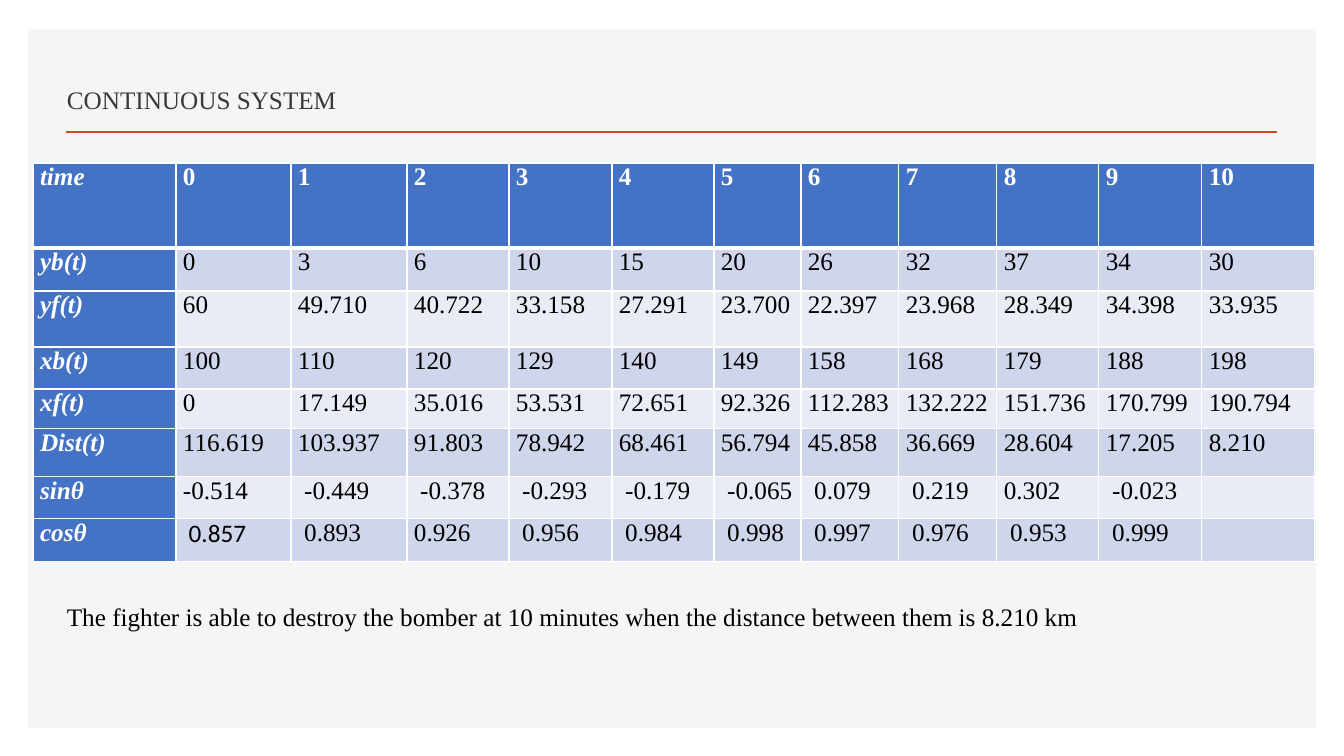
from lxml import etree
from pptx import Presentation
from pptx import util as u
from pptx.dml.color import RGBColor
from pptx.enum import shapes, text
from pptx.oxml import ns

# Content
HEADING = "CONTINUOUS SYSTEM"
CONCLUSION = ("The fighter is able to destroy the bomber at 10 minutes "
              "when the distance between them is 8.210 km")
PURSUIT = [
    ("time", "0", "1", "2", "3", "4", "5", "6", "7", "8", "9", "10"),
    ("yb(t)", "0", "3", "6", "10", "15", "20", "26", "32", "37", "34", "30"),
    ("yf(t)", "60", "49.710", "40.722", "33.158", "27.291", "23.700",
     "22.397", "23.968", "28.349", "34.398", "33.935"),
    ("xb(t)", "100", "110", "120", "129", "140", "149", "158", "168", "179", "188", "198"),
    ("xf(t)", "0", "17.149", "35.016", "53.531", "72.651", "92.326",
     "112.283", "132.222", "151.736", "170.799", "190.794"),
    ("Dist(t)", "116.619", "103.937", "91.803", "78.942", "68.461", "56.794",
     "45.858", "36.669", "28.604", "17.205", "8.210"),
    ("sinθ", "-0.514", " -0.449", " -0.378", " -0.293", " -0.179", " -0.065",
     " 0.079", " 0.219", "0.302", " -0.023", ""),
    ("cosθ", " 0.857", " 0.893", "0.926", " 0.956", " 0.984", " 0.998",
     " 0.997", " 0.976", " 0.953", " 0.999", ""),
]
CALIBRI_CELL = (7, 1)

# Format
COLORS = {
    "panel": "F5F5F5", "rule": "D24726", "heading": "3B3838",
    "header": "4472C4", "odd": "CFD5EA", "even": "E9EBF5",
    "white": "FFFFFF", "black": "000000",
}
BODY = {"name": "Times New Roman", "size": u.Pt(18), "bold": False, "italic": False}

# Layout in px
COLUMNS = [143, 115, 116, 102, 103, 102, 87, 98, 98, 102, 103, 113]
ROWS = [85, 43, 56, 42, 40, 48, 42, 43]
PANEL = (28, 29, 1288, 699)
RULE = (66, 132, 1277, 132)
HEADING_BOX = (57, 49, 758, 71)
CONCLUSION_BOX = (57, 596, 1223, 40)
TABLE_LEFT, TABLE_TOP = 33, 163
CELL_INSET = 7


def px(length):
    return round(length * 914400 / 100.8)


def color(key):
    return RGBColor.from_string(COLORS[key])


def write(frame, words, ink, **changes):
    paragraph = frame.paragraphs[0]
    if words:
        paragraph.text = words
    font = paragraph.runs[0].font if words else paragraph.font
    for attribute, value in {**BODY, **changes}.items():
        setattr(font, attribute, value)
    font.color.rgb = color(ink)
    return paragraph


def add_text(slide, box, words, ink, anchor):
    frame = slide.shapes.add_textbox(*map(px, box)).text_frame
    frame.word_wrap = True
    frame.vertical_anchor = anchor
    return write(frame, words, ink)


def add_borders(cell, widths):
    properties = cell._tc.get_or_add_tcPr()
    for side, points in zip("LRTB", widths):
        border = etree.SubElement(properties, ns.qn(f"a:ln{side}"), w=str(u.Pt(points)))
        fill = etree.SubElement(border, ns.qn("a:solidFill"))
        etree.SubElement(fill, ns.qn("a:srgbClr"), val=COLORS["white"])


def add_pursuit_table(slide):
    table = slide.shapes.add_table(
        len(ROWS), len(COLUMNS), px(TABLE_LEFT), px(TABLE_TOP),
        px(sum(COLUMNS)), px(sum(ROWS))).table
    for column, width in zip(table.columns, COLUMNS):
        column.width = px(width)
    for row, height in zip(table.rows, ROWS):
        row.height = px(height)

    for r, values in enumerate(PURSUIT):
        for c, value in enumerate(values):
            cell = table.cell(r, c)
            is_header = r == 0 or c == 0
            add_borders(cell, (1, 1, 3 if r == 1 else 1, 3 if r == 0 else 1))
            cell.fill.solid()
            cell.fill.fore_color.rgb = color(
                "header" if is_header else "odd" if r % 2 else "even")
            cell.margin_left = cell.margin_right = px(CELL_INSET)
            cell.margin_top = cell.margin_bottom = 0
            write(cell.text_frame, value, "white" if is_header else "black",
                  bold=is_header, italic=c == 0,
                  name="Calibri" if (r, c) == CALIBRI_CELL else BODY["name"])


def main():
    deck = Presentation()
    deck.slide_width, deck.slide_height = px(1344), px(756)
    slide = deck.slides.add_slide(deck.slide_layouts[6])

    # Background panel
    panel = slide.shapes.add_shape(shapes.MSO_SHAPE.RECTANGLE, *map(px, PANEL))
    panel.shadow.inherit = False
    panel.fill.solid()
    panel.fill.fore_color.rgb = color("panel")
    panel.line.fill.background()

    # Heading and its rule
    rule = slide.shapes.add_connector(shapes.MSO_CONNECTOR.STRAIGHT, *map(px, RULE))
    rule.line.color.rgb = color("rule")
    rule.line.width = u.Pt(2)
    etree.SubElement(rule._element.spPr, ns.qn("a:effectLst"))
    heading = add_text(slide, HEADING_BOX, HEADING, "heading", text.MSO_ANCHOR.BOTTOM)
    heading.line_spacing = 0.9

    # Table and conclusion
    add_pursuit_table(slide)
    add_text(slide, CONCLUSION_BOX, CONCLUSION, "black", text.MSO_ANCHOR.TOP)

    deck.save("out.pptx")


if __name__ == "__main__":
    main()
